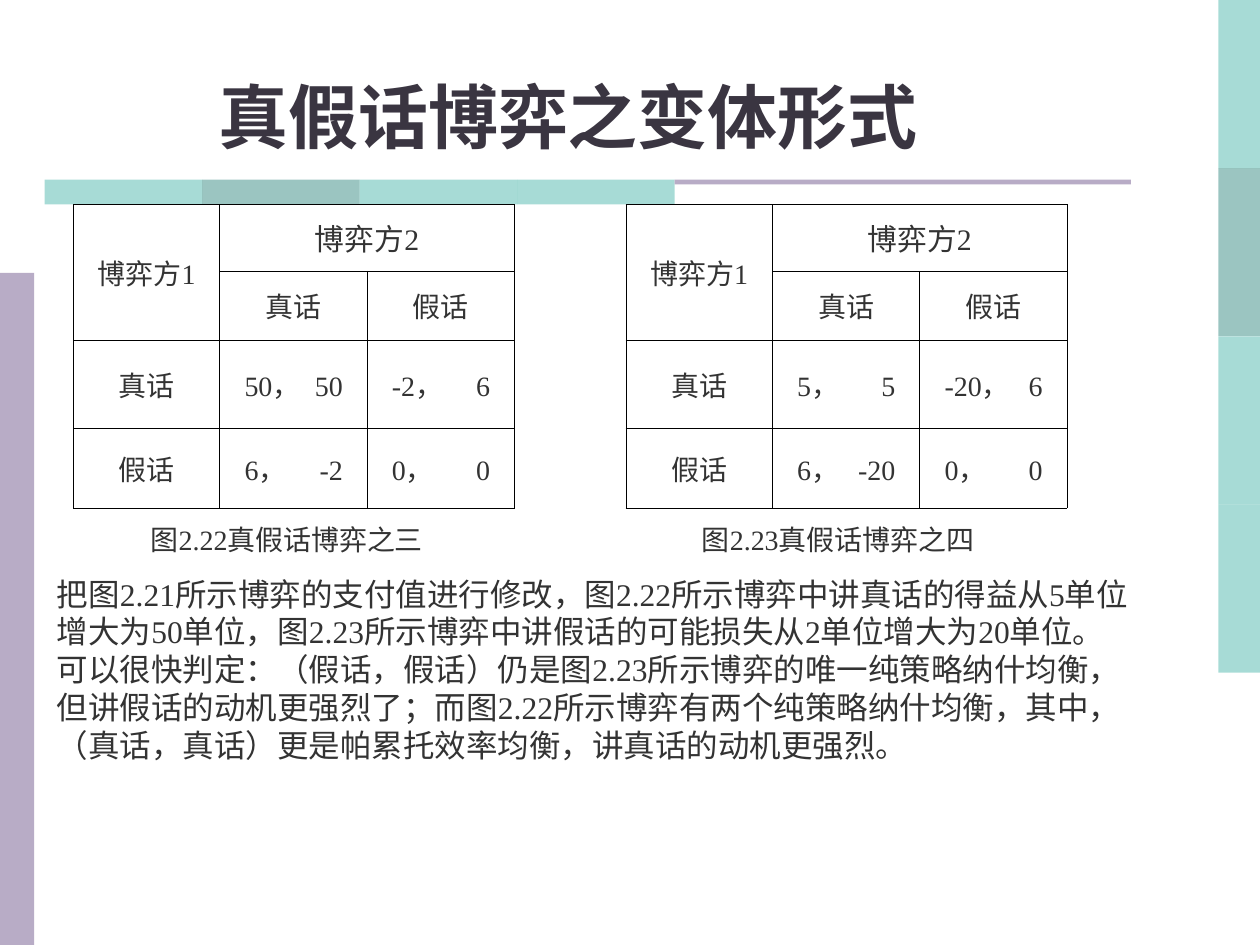
from lxml.etree import SubElement
from pptx import Presentation
from pptx.dml.color import RGBColor
from pptx.enum.shapes import MSO_SHAPE as Shape
from pptx.enum.text import MSO_ANCHOR as Anchor, PP_ALIGN as Align
from pptx.oxml.ns import qn
from pptx.util import Cm, Pt

COLORS = {
    "teal": "51B9AF", "deep": "398D85", "mauve": "B8ACC6",
    "title": "3A3541", "text": "333333", "line": "000000",
}
SERIF, SANS = "Times New Roman", "DejaVu Sans"
BANDS = ("teal", "deep", "teal", "teal")
COLS = (2.95, 2.97, 2.97)
ROWS = (1.35, 1.39, 1.78, 1.6)
TRUE, FALSE = "真话", "假话"


def rgb(key):
    return RGBColor.from_string(COLORS[key])


def style(para, size, face=SERIF, color="text", bold=False, align=Align.LEFT):
    para.alignment = align
    font = para.font
    font.size, font.name, font.bold = Pt(size), face, bold
    font.color.rgb = rgb(color)


def add_bar(slide, x, y, w, h, color, alpha=100):
    bar = slide.shapes.add_shape(Shape.RECTANGLE, Cm(x), Cm(y), Cm(w), Cm(h))
    bar.shadow.inherit = False
    bar.line.fill.background()
    bar.fill.solid()
    bar.fill.fore_color.rgb = rgb(color)
    if alpha < 100:
        tint = next(bar.fill._xPr.iter(qn("a:srgbClr")))
        SubElement(tint, qn("a:alpha"), val=str(alpha * 1000))


def add_text(slide, x, y, w, h, lines, size, anchor=Anchor.MIDDLE,
             wrap=True, **look):
    frame = slide.shapes.add_textbox(Cm(x), Cm(y), Cm(w), Cm(h)).text_frame
    frame.word_wrap = wrap
    frame.vertical_anchor = anchor
    frame.text = "\n".join(lines)
    for para in frame.paragraphs:
        style(para, size, **look)


def add_edges(cell):
    props = cell._tc.get_or_add_tcPr()
    for side in ("lnL", "lnR", "lnT", "lnB"):
        edge = SubElement(props, qn(f"a:{side}"), w=str(int(Pt(0.45))))
        fill = SubElement(edge, qn("a:solidFill"))
        SubElement(fill, qn("a:srgbClr"), val=COLORS["line"])


def fill_cell(cell, text, size=16, face=SERIF):
    cell.text = text
    cell.vertical_anchor = Anchor.MIDDLE
    style(cell.text_frame.paragraphs[0], size, face, align=Align.CENTER)


def fill_pair(cell, pair):
    """Write two payoffs, the second flush right at a tab stop."""
    cell.text = "{}，\t{}".format(*pair)
    cell.vertical_anchor = Anchor.MIDDLE
    cell.margin_left = Cm(0.5)
    para = cell.text_frame.paragraphs[0]
    tabs = SubElement(para._p.get_or_add_pPr(), qn("a:tabLst"))
    SubElement(tabs, qn("a:tab"), pos=str(int(Cm(1.98))), algn="r")
    style(para, 16)


def add_game(slide, x, pairs):
    """Add a payoff table for two players."""
    grid = slide.shapes.add_table(
        len(ROWS), len(COLS), Cm(x), Cm(4.12), Cm(sum(COLS)), Cm(sum(ROWS))
    ).table
    grid.first_row = grid.horz_banding = False
    for col, width in zip(grid.columns, COLS):
        col.width = Cm(width)
    for row, height in zip(grid.rows, ROWS):
        row.height = Cm(height)
    for cell in grid.iter_cells():
        add_edges(cell)
        cell.fill.background()
    grid.cell(0, 0).merge(grid.cell(1, 0))
    grid.cell(0, 1).merge(grid.cell(0, 2))
    fill_cell(grid.cell(0, 0), "博弈方1")
    fill_cell(grid.cell(0, 1), "博弈方2", 17)
    for i, move in enumerate((TRUE, FALSE)):
        fill_cell(grid.cell(1, i + 1), move, face=SANS)
        fill_cell(grid.cell(i + 2, 0), move, face=SANS)
        for j, pair in enumerate(pairs[i]):
            fill_pair(grid.cell(i + 2, j + 1), pair)


def add_decor(slide):
    for i, color in enumerate(BANDS):
        add_bar(slide, 24.56, i * 3.39, 0.84, 3.39, color, 50)
        add_bar(slide, 0.9 + i * 3.175, 3.62, 3.175, 0.5, color, 50)
    add_bar(slide, 0, 5.5, 0.69, 13.55, "mauve")
    add_bar(slide, 13.6, 3.62, 9.2, 0.1, "mauve")


def main():
    deck = Presentation()
    deck.slide_width, deck.slide_height = Cm(25.4), Cm(19.05)
    slide = deck.slides.add_slide(deck.slide_layouts[6])
    add_decor(slide)
    add_text(slide, 0, 1.12, 22.9, 2.18, ["真假话博弈之变体形式"], 40,
             Anchor.BOTTOM, color="title", bold=True, align=Align.CENTER)
    add_game(slide, 1.48, [[(50, 50), (-2, 6)], [(6, -2), (0, 0)]])
    add_game(slide, 12.62, [[(5, 5), (-20, 6)], [(6, -20), (0, 0)]])
    add_text(slide, 2.79, 10.41, 6.25, 0.94, ["图2.22真假话博弈之三"], 16,
             wrap=False)
    add_text(slide, 13.77, 10.41, 6.25, 0.94, ["图2.23真假话博弈之四"], 16,
             wrap=False, align=Align.CENTER)
    add_text(slide, 0.9, 11.46, 22.4, 4.83, [
        "把图2.21所示博弈的支付值进行修改，图2.22所示博弈中讲真话的得益"
        "从5单位增大为50单位，图2.23所示博弈中讲假话的可能损失"
        "从2单位增大为20单位。",
        "可以很快判定：（假话，假话）仍是图2.23所示博弈的唯一纯策略纳什均衡，"
        "但讲假话的动机更强烈了；而图2.22所示博弈有两个纯策略纳什均衡，"
        "其中，（真话，真话）更是帕累托效率均衡，讲真话的动机更强烈。",
    ], 18, Anchor.TOP)
    deck.save("out.pptx")


if __name__ == "__main__":
    main()
